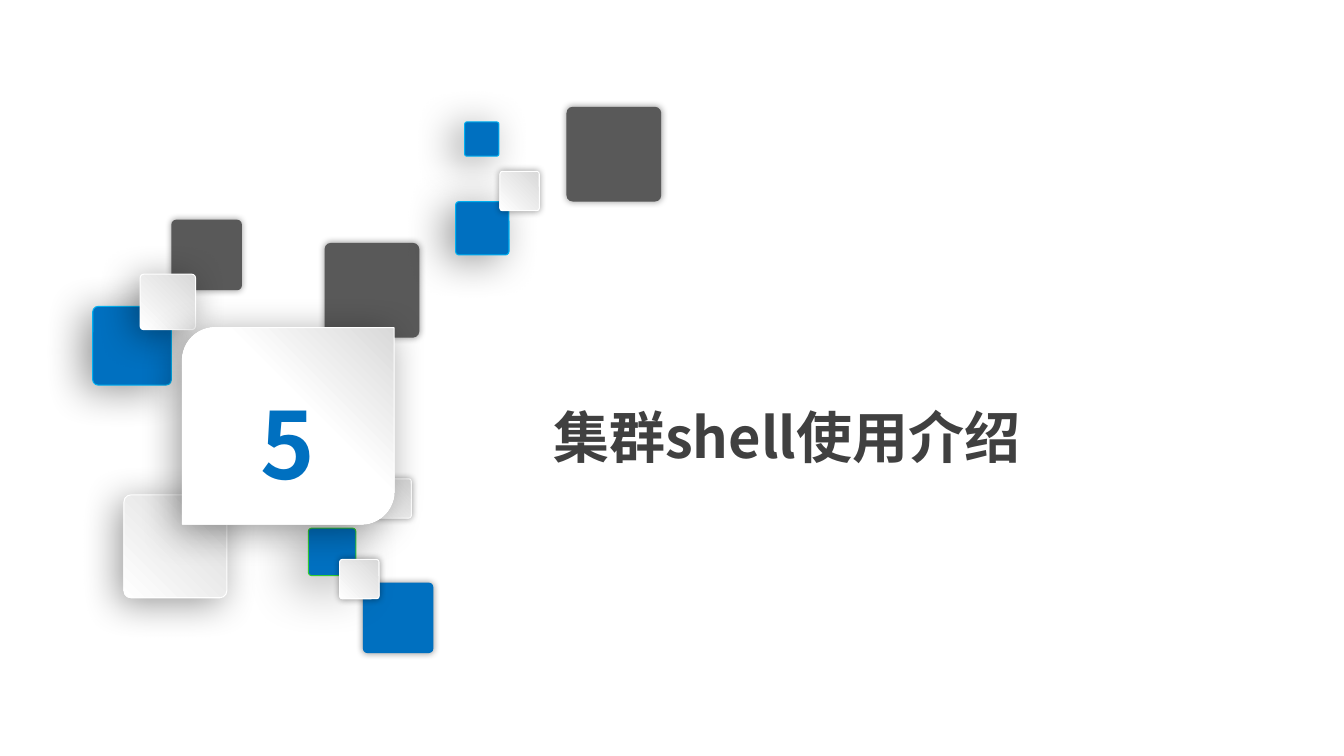
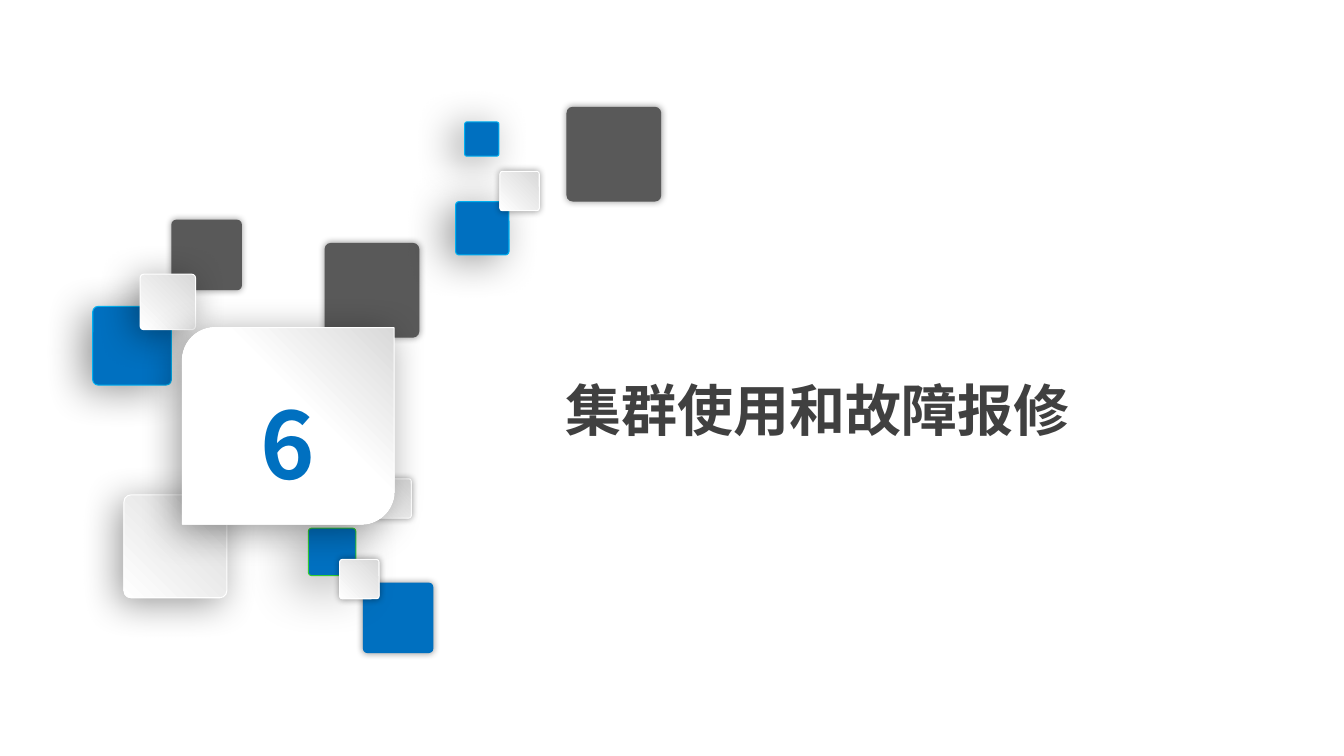
from dataclasses import dataclass
from typing import Optional

from lxml.etree import SubElement
from pptx import Presentation
from pptx.dml.color import RGBColor
from pptx.enum.shapes import MSO_SHAPE
from pptx.enum.text import MSO_ANCHOR, PP_ALIGN
from pptx.oxml.ns import qn
from pptx.util import Emu, Inches, Pt

# Shared look; lengths are counted in grid cells
CELL = Inches(0.1)
COLS, ROWS = 133.33, 75
FONT = "Noto Sans CJK SC"
BLUE, CYAN, GREEN = "0070C0", "00B0F0", "33CC33"
GREY, INK, PALE, WHITE = "595959", "404040", "D9D9D9", "FFFFFF"


@dataclass(frozen=True)
class Shade:
    blur: float
    dist: float
    turn: int


@dataclass(frozen=True)
class Style:
    shade: Shade
    fill: Optional[str] = None  # None means the pale gradient
    edge: Optional[str] = WHITE
    stop: float = 1.0


@dataclass(frozen=True)
class Tile:
    x: float
    y: float
    size: float
    style: Style


@dataclass(frozen=True)
class Part:
    mark: str
    title: str
    x: float
    y: float
    wide: float


GLOW = Shade(5, 0, 0)
DROP = Shade(27, 6, 135)
SIDE = Style(Shade(29, 8, 150), BLUE, CYAN)
DARK = Style(GLOW, GREY, None)
FLAT = Style(GLOW, BLUE, None)
LIME = Style(Shade(40, 9, 135), BLUE, GREEN)
LIGHT = Style(GLOW)
RAISED = Style(DROP)
CARD = Style(DROP, stop=0.42)

TILES = (
    # Upper left
    Tile(9.2, 30.4, 7.8, SIDE),
    Tile(17, 21.8, 7, DARK),
    Tile(13.9, 27.2, 5.5, RAISED),
    # Behind the card
    Tile(36.9, 47.5, 3.9, LIGHT),
    Tile(12.3, 49.1, 10.2, RAISED),
    # Below the card
    Tile(36, 57.8, 7, FLAT),
    Tile(30.6, 52.4, 4.7, LIME),
    Tile(33.7, 55.5, 3.9, LIGHT),
    # Upper right
    Tile(32.2, 24.1, 9.4, DARK),
    Tile(45.2, 20, 5.3, SIDE),
    Tile(46.1, 12.1, 3.4, SIDE),
    Tile(49.6, 17, 3.9, LIGHT),
    Tile(56.2, 10.6, 9.4, DARK),
)

PARTS = (
    Part("5", "集群shell使用介绍", 53.5, 39.7, 64.8),
    Part("6", "集群使用和故障报修", 54.7, 37, 68.2),
)


def grid(count: float) -> Emu:
    return Emu(round(count * CELL))


def paint(color: str) -> RGBColor:
    return RGBColor.from_string(color)


def cast(shape, shade: Shade) -> None:
    """Give the shape a soft outer shadow."""
    shape.shadow.inherit = False
    effects = shape._element.spPr.find(qn("a:effectLst"))
    outer = SubElement(
        effects, qn("a:outerShdw"),
        blurRad=str(Pt(shade.blur)), dist=str(Pt(shade.dist)),
        dir=str(shade.turn * 60000), algn="ctr", rotWithShape="0")
    black = SubElement(outer, qn("a:srgbClr"), val="000000")
    SubElement(black, qn("a:alpha"), val="40000")


def draw(slide, kind, x: float, y: float, wide: float, high: float,
         style: Style):
    shape = slide.shapes.add_shape(kind, *map(grid, (x, y, wide, high)))
    fill, line = shape.fill, shape.line
    if style.fill:
        fill.solid()
        fill.fore_color.rgb = paint(style.fill)
    else:
        fill.gradient()
        fill.gradient_angle = 225
        ends = ((0, PALE), (style.stop, WHITE))
        for stop, (place, color) in zip(fill.gradient_stops, ends):
            stop.position = place
            stop.color.rgb = paint(color)
    if style.edge:
        line.color.rgb = paint(style.edge)
        line.width = Pt(0.75)
    else:
        line.fill.background()
    cast(shape, style.shade)
    return shape


def write(frame, text: str, size: int, color: str, align: PP_ALIGN) -> None:
    frame.word_wrap = True
    frame.vertical_anchor = MSO_ANCHOR.MIDDLE
    para = frame.paragraphs[0]
    para.text = text
    para.alignment = align
    font = para.font
    font.name, font.size, font.bold = FONT, Pt(size), True
    font.color.rgb = paint(color)
    # East Asian letters need their own font entry
    base = para._p.pPr.find(qn("a:defRPr"))
    SubElement(base, qn("a:ea"), typeface=FONT)


def build(slide, part: Part) -> None:
    # Title
    box = slide.shapes.add_textbox(
        *map(grid, (part.x, part.y, part.wide, 7.1)))
    frame = box.text_frame
    frame.margin_left = frame.margin_right = grid(1.4)
    frame.margin_top = frame.margin_bottom = grid(0.7)
    write(frame, part.title, 40, INK, PP_ALIGN.LEFT)

    # Scattered tiles
    for tile in TILES:
        shape = draw(slide, MSO_SHAPE.ROUNDED_RECTANGLE, tile.x, tile.y,
                     tile.size, tile.size, tile.style)
        shape.adjustments[0] = 0.067

    # Number card
    card = draw(slide, MSO_SHAPE.ROUND_2_DIAG_RECTANGLE,
                18.1, 32.5, 21, 19.5, CARD)
    write(card.text_frame, part.mark, 66, BLUE, PP_ALIGN.CENTER)
    card.text_frame.paragraphs[0].line_spacing = 1.3


def main() -> None:
    deck = Presentation()
    deck.slide_width, deck.slide_height = grid(COLS), grid(ROWS)
    for part in PARTS:
        build(deck.slides.add_slide(deck.slide_layouts[6]), part)
    deck.save("out.pptx")


if __name__ == "__main__":
    main()
